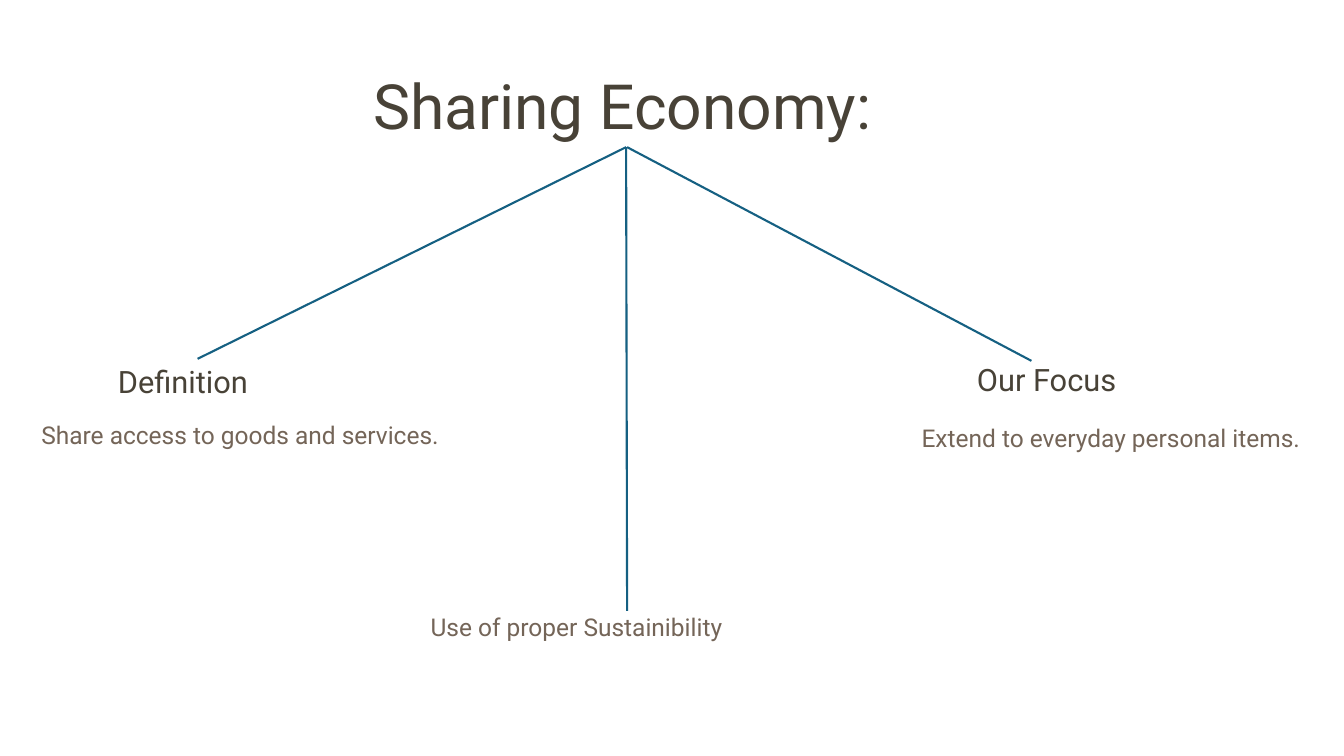
from pptx import Presentation
from pptx import util as u
from pptx.dml.color import RGBColor
from pptx.enum import shapes, text
from pptx.oxml.ns import qn
from lxml import etree

DARK, SOFT, BLUE = "484237", "746558", "156082"
HEAD = (22, DARK, 27.5)
BODY = (17.5, SOFT, 28.5)


def color(code):
    return RGBColor.from_string(code)


def write(shape, words, style):
    size, code, lead = style
    frame = shape.text_frame
    frame.word_wrap = True
    frame.auto_size = text.MSO_AUTO_SIZE.NONE
    frame.vertical_anchor = text.MSO_ANCHOR.TOP
    frame.margin_left = frame.margin_right = 0
    frame.margin_top = frame.margin_bottom = 0
    para = frame.paragraphs[0]
    para.text = words
    para.alignment = text.PP_ALIGN.LEFT
    para.line_spacing = u.Pt(lead)
    para.space_before = u.Pt(0)
    para.font.name = "Roboto"
    para.font.size = u.Pt(size)
    para.font.color.rgb = color(code)


def title(slide, box, words):
    shape = slide.shapes.title
    shape.left, shape.top, shape.width, shape.height = map(u.Inches, box)
    write(shape, words, (44.5, DARK, 55.5))


def label(slide, box, words, style):
    write(slide.shapes.add_textbox(*map(u.Inches, box)), words, style)


def topic(slide, box, inset, drop, head, body):
    """Heading set in from the left of the box, with its sentence below."""
    left, top, width, height = box
    label(slide, (left + inset, top, 3.1, 0.39), head, HEAD)
    label(slide, (left, top + drop, width, height - drop), body, BODY)


def branch(slide, start, end):
    line = slide.shapes.add_connector(
        shapes.MSO_CONNECTOR.STRAIGHT, *map(u.Inches, start + end))
    line.line.color.rgb = color(BLUE)
    line.line.width = u.Pt(1.5)
    etree.SubElement(line._element.spPr, qn("a:effectLst"))


def main():
    deck = Presentation()
    deck.slide_width, deck.slide_height = u.Inches(13.33), u.Inches(7.5)
    slide = deck.slides.add_slide(deck.slide_layouts[5])

    # Title
    title(slide, (3.7, 0.64, 10.88, 0.78), "Sharing Economy:")

    # Topics
    topic(slide, (0.41, 3.58, 4.35, 0.88), 0.76, 0.48,
          "Definition", "Share access to goods and services.")
    label(slide, (4.27, 5.97, 4.35, 0.79), "Use of proper Sustainibility", BODY)
    topic(slide, (9.14, 3.56, 4.35, 0.9), 0.55, 0.53,
          "Our Focus", "Extend to everyday personal items.")

    # Branches from the title to each topic
    for start, end in (((6.21, 1.46), (6.22, 6.06)),
                       ((6.22, 1.46), (10.23, 3.58)),
                       ((6.21, 1.46), (1.96, 3.56))):
        branch(slide, start, end)

    deck.save("out.pptx")


if __name__ == "__main__":
    main()
